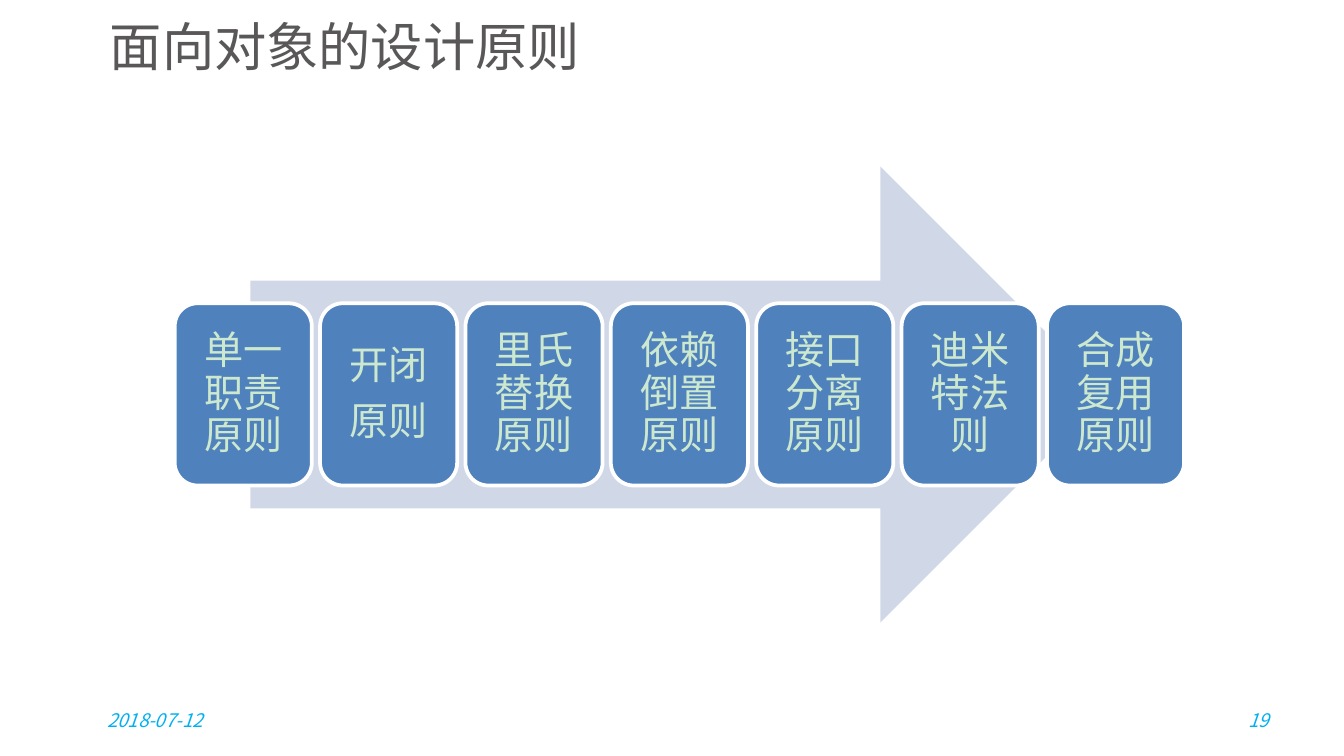
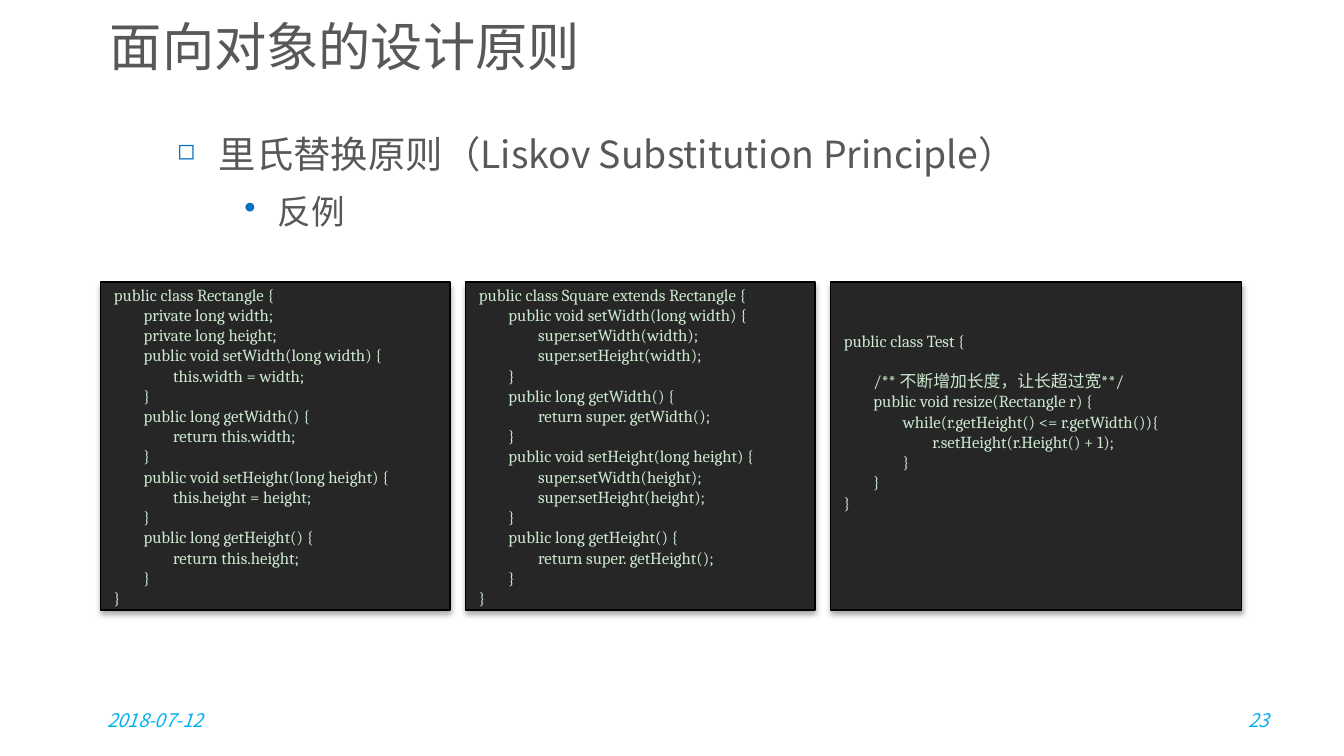
import lxml.etree
import pptx
import pptx.dml.color
import pptx.enum.shapes
import pptx.enum.text
import pptx.oxml.ns
import pptx.util

Inches = pptx.util.Inches
Pt = pptx.util.Pt
ALIGN = pptx.enum.text.PP_ALIGN
ANCHOR = pptx.enum.text.MSO_ANCHOR
SHAPE = pptx.enum.shapes.MSO_SHAPE
qn = pptx.oxml.ns.qn

COLORS = {
    "background": "FFFFFF",
    "title": "595757",
    "footer": "00B0F0",
    "bullet": "0070C0",
    "arrow": "D0D8E8",
    "tile": "4F81BD",
    "light text": "CCE8CF",
    "panel": "262626",
    "black": "000000",
}
SANS = "Noto Sans CJK SC"
TITLE = "面向对象的设计原则"
DATE = "2018-07-12"

PRINCIPLES = ["单一职责原则", "开闭\n原则", "里氏替换原则", "依赖倒置原则",
              "接口分离原则", "迪米特法则", "合成复用原则"]

# Four leading spaces in a listing stand for one indent level
RECTANGLE_CODE = """public class Rectangle {
    private long width;
    private long height;
    public void setWidth(long width) {
        this.width = width;
    }
    public long getWidth() {
        return this.width;
    }
    public void setHeight(long height) {
        this.height = height;
    }
    public long getHeight() {
        return this.height;
    }
}"""
SQUARE_CODE = """public class Square extends Rectangle {
    public void setWidth(long width) {
        super.setWidth(width);
        super.setHeight(width);
    }
    public long getWidth() {
        return super. getWidth();
    }
    public void setHeight(long height) {
        super.setWidth(height);
        super.setHeight(height);
    }
    public long getHeight() {
        return super. getHeight();
    }
}"""
TEST_CODE = """public class Test {

    /** 不断增加长度，让长超过宽**/
    public void resize(Rectangle r) {
        while(r.getHeight() <= r.getWidth()){
            r.setHeight(r.Height() + 1);
        }
    }
}"""


def rgb(name):
    return pptx.dml.color.RGBColor.from_string(COLORS[name])


def format_runs(paragraph, size, color, font=SANS, italic=None):
    for run in paragraph.runs:
        run.font.size = Pt(size)
        run.font.name = font
        run.font.italic = italic
        run.font.color.rgb = rgb(color)
        east_asian = lxml.etree.SubElement(run._r.get_or_add_rPr(), qn("a:ea"))
        east_asian.set("typeface", SANS)


def set_indent(paragraph, left, first=0):
    properties = paragraph._p.get_or_add_pPr()
    properties.set("marL", str(Inches(left)))
    properties.set("indent", str(Inches(first)))
    return properties


def add_text_box(slide, box, text, anchor=ANCHOR.TOP):
    shape = slide.shapes.add_textbox(*map(Inches, box))
    text_frame = shape.text_frame
    text_frame.word_wrap = True
    text_frame.vertical_anchor = anchor
    text_frame.text = text
    return text_frame


def add_box(slide, kind, box, fill, line=None, line_width=0):
    shape = slide.shapes.add_shape(kind, *map(Inches, box))
    shape.shadow.inherit = False
    shape.fill.solid()
    shape.fill.fore_color.rgb = rgb(fill)
    if line:
        shape.line.color.rgb = rgb(line)
        shape.line.width = Pt(line_width)
    else:
        shape.line.fill.background()
    return shape


def add_drop_shadow(shape):
    effects = shape._element.spPr.find(qn("a:effectLst"))
    shadow = lxml.etree.SubElement(
        effects, qn("a:outerShdw"), blurRad=str(Pt(3.1)), dist=str(Pt(1.8)),
        dir="5400000", rotWithShape="0")
    color = lxml.etree.SubElement(shadow, qn("a:srgbClr"), val=COLORS["black"])
    lxml.etree.SubElement(color, qn("a:alpha"), val="35000")


# Background, title and footer of every slide
def add_base_slide(presentation, number):
    slide = presentation.slides.add_slide(presentation.slide_layouts[6])
    slide.background.fill.solid()
    slide.background.fill.fore_color.rgb = rgb("background")

    title = add_text_box(slide, (0.72, 0.06, 9, 0.47), TITLE)
    format_runs(title.paragraphs[0], 28, "title")

    for left, text, alignment in ((0.7, DATE, ALIGN.LEFT),
                                  (7.21, str(number), ALIGN.RIGHT)):
        footer = add_text_box(slide, (left, 5.21, 2.33, 0.3), text, ANCHOR.MIDDLE)
        footer.paragraphs[0].alignment = alignment
        format_runs(footer.paragraphs[0], 10, "footer", italic=True)
    return slide


# Row of principle tiles on a wide arrow
def add_principle_arrow(slide, box):
    left, top, width, height = box
    arrow_width = 0.85 * width
    add_box(slide, SHAPE.RIGHT_ARROW,
            (left + (width - arrow_width) / 2, top, arrow_width, height), "arrow")

    tile_width, tile_height = 1.02, 0.4 * height
    pitch = (width - tile_width) / (len(PRINCIPLES) - 1)
    tile_top = top + (height - tile_height) / 2
    for index, principle in enumerate(PRINCIPLES):
        tile = add_box(slide, SHAPE.ROUNDED_RECTANGLE,
                       (left + index * pitch, tile_top, tile_width, tile_height),
                       "tile", "background", 2)
        text_frame = tile.text_frame
        text_frame.word_wrap = True
        text_frame.vertical_anchor = ANCHOR.MIDDLE
        text_frame.margin_left = text_frame.margin_right = Inches(0.14)
        text_frame.text = principle
        for paragraph in text_frame.paragraphs:
            paragraph.alignment = ALIGN.CENTER
            paragraph.line_spacing = 0.9
            format_runs(paragraph, 21, "light text", "Calibri")
        for paragraph in text_frame.paragraphs[:-1]:
            paragraph.space_after = Pt(7.35)


# Bulleted heading with its sub-point
def add_bullets(slide, box):
    items = [
        ("里氏替换原则（Liskov Substitution Principle）", 20, 0.81, -0.31, "◻", 60),
        ("反例", 18, 1.25, -0.25, "•", 100),
    ]
    text_frame = add_text_box(slide, box, "\n".join(item[0] for item in items))
    for level, (paragraph, item) in enumerate(zip(text_frame.paragraphs, items), 1):
        text, size, left, first, bullet, bullet_size = item
        paragraph.level = level
        paragraph.alignment = ALIGN.JUSTIFY
        paragraph.line_spacing = 1.25
        paragraph.space_before = Pt(3)
        format_runs(paragraph, size, "title")
        properties = set_indent(paragraph, left, first)
        color = lxml.etree.SubElement(properties, qn("a:buClr"))
        lxml.etree.SubElement(color, qn("a:srgbClr"), val=COLORS["bullet"])
        lxml.etree.SubElement(properties, qn("a:buSzPct"), val=str(bullet_size * 1000))
        lxml.etree.SubElement(properties, qn("a:buChar"), char=bullet)


# One dark panel of code; an empty code line becomes space before the next
def add_code_panel(slide, box, code, anchor, margin_top):
    panel = add_box(slide, SHAPE.RECTANGLE, box, "panel", "black", 0.75)
    add_drop_shadow(panel)
    text_frame = panel.text_frame
    text_frame.word_wrap = True
    text_frame.vertical_anchor = anchor
    text_frame.margin_top = Inches(margin_top)
    lines = code.split("\n")
    text_frame.text = "\n".join(line.strip() for line in lines if line)
    paragraphs = iter(text_frame.paragraphs)
    gap = 0
    for line in lines:
        if not line:
            gap = 10.8
            continue
        paragraph = next(paragraphs)
        paragraph.alignment = ALIGN.LEFT
        paragraph.space_before = Pt(gap)
        gap = 0
        set_indent(paragraph, 0.22 * (len(line) - len(line.lstrip())) / 4)
        format_runs(paragraph, 9, "light text", "Cambria")


# Code panels side by side with equal gaps
def add_code_row(slide, box):
    left, top, width, height = box
    panels = [
        (RECTANGLE_CODE, 2.6, ANCHOR.MIDDLE, 0.05),
        (SQUARE_CODE, 2.6, ANCHOR.MIDDLE, 0.05),
        (TEST_CODE, 3.06, ANCHOR.TOP, 0.36),
    ]
    gap = (width - sum(panel[1] for panel in panels)) / (len(panels) - 1)
    for code, panel_width, anchor, margin_top in panels:
        add_code_panel(slide, (left, top, panel_width, height), code, anchor, margin_top)
        left += panel_width + gap


def main():
    presentation = pptx.Presentation()
    presentation.slide_width = Inches(10)
    presentation.slide_height = Inches(10 * 9 / 16)

    overview = add_base_slide(presentation, 19)
    add_principle_arrow(overview, (1.3, 1.24, 7.51, 3.39))

    counterexample = add_base_slide(presentation, 23)
    add_bullets(counterexample, (0.72, 0.84, 8.76, 4.18))
    add_code_row(counterexample, (0.75, 2.1, 8.49, 2.44))

    presentation.save("out.pptx")


if __name__ == "__main__":
    main()
